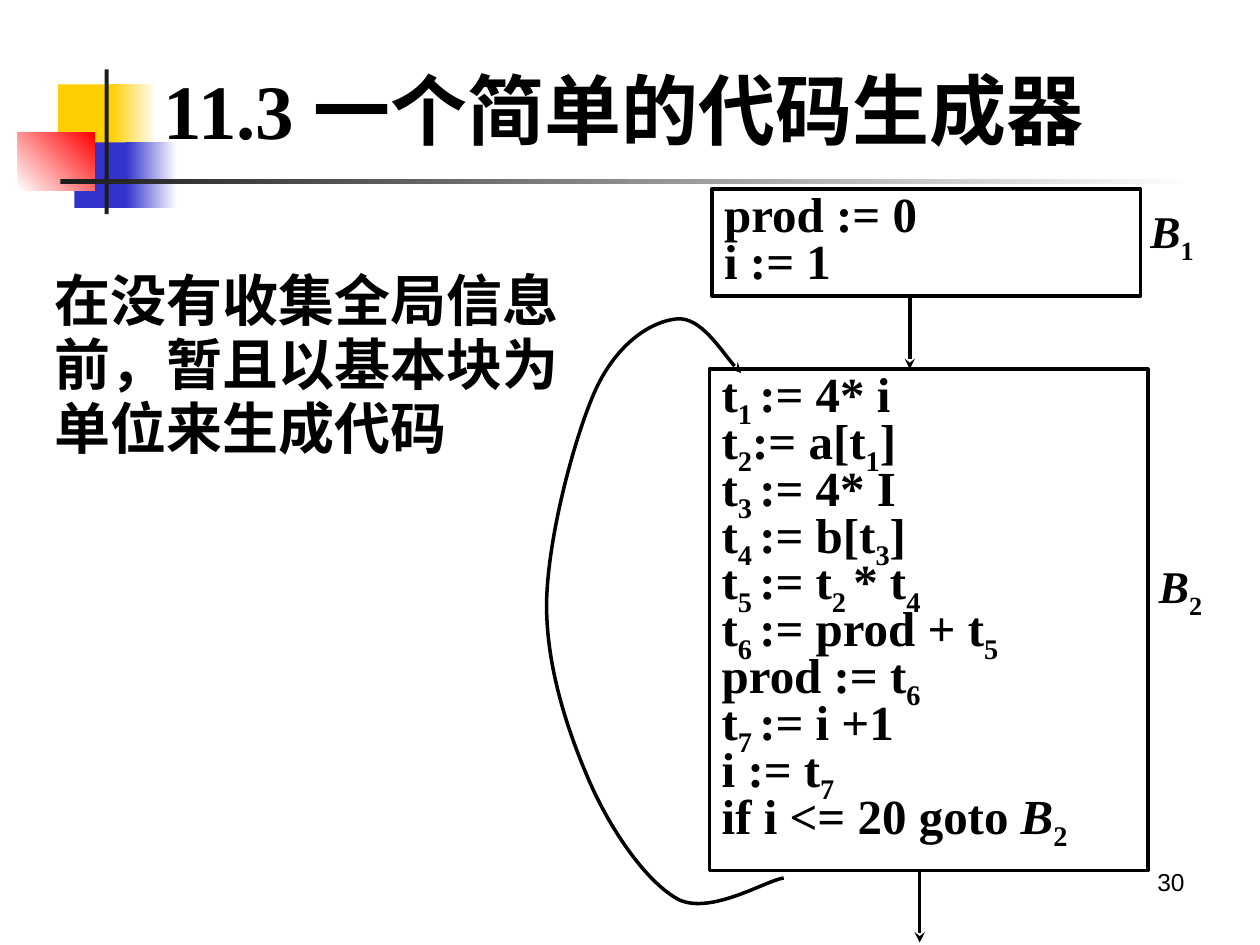
from dataclasses import dataclass
from itertools import chain

from lxml.etree import SubElement
from pptx import Presentation
from pptx.dml.color import RGBColor
from pptx.enum.shapes import MSO_CONNECTOR, MSO_SHAPE
from pptx.enum.text import MSO_ANCHOR, PP_ALIGN
from pptx.oxml.ns import qn
from pptx.util import Cm, Pt


@dataclass(frozen=True)
class Theme:
    ink: str = "000000"
    paper: str = "FFFFFF"
    yellow: str = "FFCF01"
    blue: str = "3333CC"
    red: str = "FF0000"
    charcoal: str = "1C1C1C"
    serif: str = "Times New Roman"
    sans: str = "Arial"
    title_size: float = 44
    body_size: float = 32
    code_size: float = 28
    label_size: float = 25.9
    page_size: float = 14
    line_width: float = 2


@dataclass(frozen=True)
class Box:
    left: float
    top: float
    width: float
    height: float

    def inside(self, left, top, width, height):
        return Box(self.left + left, self.top + top, width, height)

    def point(self, x, y):
        return Cm(self.left + x), Cm(self.top + y)

    def lengths(self):
        return Cm(self.left), Cm(self.top), Cm(self.width), Cm(self.height)


THEME = Theme()

FIRST_BLOCK = ["prod := 0", "i := 1"]
SECOND_BLOCK = [
    "t|_1 |:= 4* i",
    "t|_2|:= a[t|_1|]",
    "t|_3 |:= 4* I",
    "t|_4 |:= b[t|_3|]",
    "t|_5 |:= t|_2 |* t|_4",
    "t|_6 |:= prod + t|_5",
    "prod := t|_6",
    "t|_7 |:= i +1",
    "i := t|_7",
    "if i <= 20 goto |/B|_2",
]
LOOP_START = (4.8, 13.89)
LOOP_CURVES = [
    [(4.44, 13.94), (3.35, 14.63), (2.69, 14.33)],
    [(2.06, 14.0), (1.34, 12.98), (0.89, 11.96)],
    [(0.46, 10.97), (0, 9.63), (0.02, 8.31)],
    [(0.05, 6.99), (0.58, 5.0), (1.01, 4.04)],
    [(1.45, 3.1), (2.13, 2.67), (2.64, 2.62)],
    [(3.12, 2.57), (3.68, 3.48), (3.94, 3.71)],
]


def color(value):
    return RGBColor.from_string(value)


def format_font(font, size, name=THEME.serif, bold=True):
    font.name = name
    font.size = Pt(size)
    font.bold = bold
    font.color.rgb = color(THEME.ink)


def write_lines(text_frame, lines, size, spacing):
    text_frame.word_wrap = True
    text_frame.vertical_anchor = MSO_ANCHOR.TOP
    text_frame.text = "\n".join(lines)
    for paragraph, line in zip(text_frame.paragraphs, lines):
        paragraph.text = ""
        paragraph.alignment = PP_ALIGN.JUSTIFY
        paragraph.line_spacing = spacing
        for part in line.split("|"):
            run = paragraph.add_run()
            run.text = part.lstrip("_/")
            format_font(run.font, size)
            if part.startswith("/"):
                run.font.italic = True
            if part.startswith("_"):
                run.font._element.set("baseline", "-25000")


def draw_line(shape, arrow=False):
    shape.line.color.rgb = color(THEME.ink)
    shape.line.width = Pt(THEME.line_width)
    if arrow:
        SubElement(shape.line._get_or_add_ln(), qn("a:tailEnd"), type="stealth")


def add_ornament(slide, box):
    parts = [
        (box.inside(0.81, 0.3, 1.22, 1.32), [THEME.yellow], 0),
        (box.inside(1.88, 0.3, 0.91, 1.32), [THEME.yellow, THEME.paper], 0),
        (box.inside(1.14, 1.47, 1.17, 1.32), [THEME.blue], 0),
        (box.inside(2.18, 1.47, 1.02, 1.32), [THEME.blue, THEME.paper], 0),
        (box.inside(0, 1.27, 1.55, 1.17), [THEME.paper, THEME.red], 45),
        (box.inside(1.75, 0, 0.08, 2.92), [THEME.charcoal], 0),
        (box.inside(0.86, 2.21, 22.86, 0.1), [THEME.charcoal, THEME.paper], 0),
    ]
    for part, colors, angle in parts:
        shape = slide.shapes.add_shape(MSO_SHAPE.RECTANGLE, *part.lengths())
        shape.shadow.inherit = False
        shape.line.fill.background()
        if len(colors) == 1:
            shape.fill.solid()
            shape.fill.fore_color.rgb = color(colors[0])
            continue
        shape.fill.gradient()
        shape.fill.gradient_angle = angle
        for stop, value, position in zip(shape.fill.gradient_stops, colors, (0, 1)):
            stop.color.rgb = color(value)
            stop.position = position


def place_title(slide, box, text):
    title = slide.shapes.title
    title.left, title.top, title.width, title.height = box.lengths()
    title.text_frame.text = text
    title.text_frame.vertical_anchor = MSO_ANCHOR.MIDDLE
    paragraph = title.text_frame.paragraphs[0]
    paragraph.alignment = PP_ALIGN.LEFT
    format_font(paragraph.runs[0].font, THEME.title_size)
    slide.shapes._spTree.append(title._element)


def add_text(slide, box, lines, size, spacing):
    shape = slide.shapes.add_textbox(*box.lengths())
    write_lines(shape.text_frame, lines, size, spacing)


def add_page_number(slide, box, text):
    text_frame = slide.shapes.add_textbox(*box.lengths()).text_frame
    text_frame.word_wrap = True
    text_frame.text = text
    paragraph = text_frame.paragraphs[0]
    paragraph.alignment = PP_ALIGN.RIGHT
    format_font(paragraph.runs[0].font, THEME.page_size, THEME.sans, False)


def add_code_block(slide, box, lines, spacing):
    shape = slide.shapes.add_shape(MSO_SHAPE.RECTANGLE, *box.lengths())
    shape.shadow.inherit = False
    shape.fill.background()
    draw_line(shape)
    write_lines(shape.text_frame, lines, THEME.code_size, spacing)


def add_arrow(slide, start, end):
    connector = slide.shapes.add_connector(MSO_CONNECTOR.STRAIGHT, *start, *end)
    draw_line(connector, arrow=True)
    SubElement(connector._element.spPr, qn("a:effectLst"))


def add_loop(slide, box):
    builder = slide.shapes.build_freeform(*box.point(*LOOP_START))
    points = [box.point(*point) for point in chain.from_iterable(LOOP_CURVES)]
    builder.add_line_segments(points, close=False)
    shape = builder.convert_to_shape()
    segments = list(shape._element.iter(qn("a:lnTo")))
    for index in range(0, len(segments), 3):
        curve = SubElement(segments[index].getparent(), qn("a:cubicBezTo"))
        for segment in segments[index:index + 3]:
            curve.append(segment[0])
            segment.getparent().remove(segment)
    shape.shadow.inherit = False
    shape.fill.background()
    draw_line(shape, arrow=True)


def add_flow_graph(slide, box):
    add_code_block(slide, box.inside(3.35, 0, 8.64, 2.16), FIRST_BLOCK, 0.8)
    add_code_block(slide, box.inside(3.3, 3.63, 8.84, 10.11), SECOND_BLOCK, 0.7)
    add_arrow(slide, box.point(7.34, 2.16), box.point(7.34, 3.63))
    add_arrow(slide, box.point(7.54, 13.77), box.point(7.54, 15.19))
    add_text(slide, box.inside(11.94, 0.18, 1.75, 1.52), ["/B|_1"], THEME.label_size, 0.9)
    add_text(slide, box.inside(12.11, 7.34, 1.55, 1.55), ["/B|_2"], THEME.label_size, 0.9)
    add_loop(slide, box)


def main():
    presentation = Presentation()
    presentation.slide_width, presentation.slide_height = Cm(25.4), Cm(19.05)
    slide = presentation.slides.add_slide(presentation.slide_layouts[5])
    add_ornament(slide, Box(0.36, 1.4, 23.72, 2.92))
    add_page_number(slide, Box(18.21, 17.35, 5.92, 1.32), "30")
    place_title(slide, Box(3.05, 0.91, 19.63, 2.57), "11.3 一个简单的代码生成器")
    statement = ["在没有收集全局信息", "前，暂且以基本块为", "单位来生成代码"]
    add_text(slide, Box(0.84, 5.33, 23.93, 8.79), statement, THEME.body_size, 0.95)
    add_flow_graph(slide, Box(11, 3.81, 13.69, 15.19))
    presentation.save("out.pptx")


if __name__ == "__main__":
    main()
